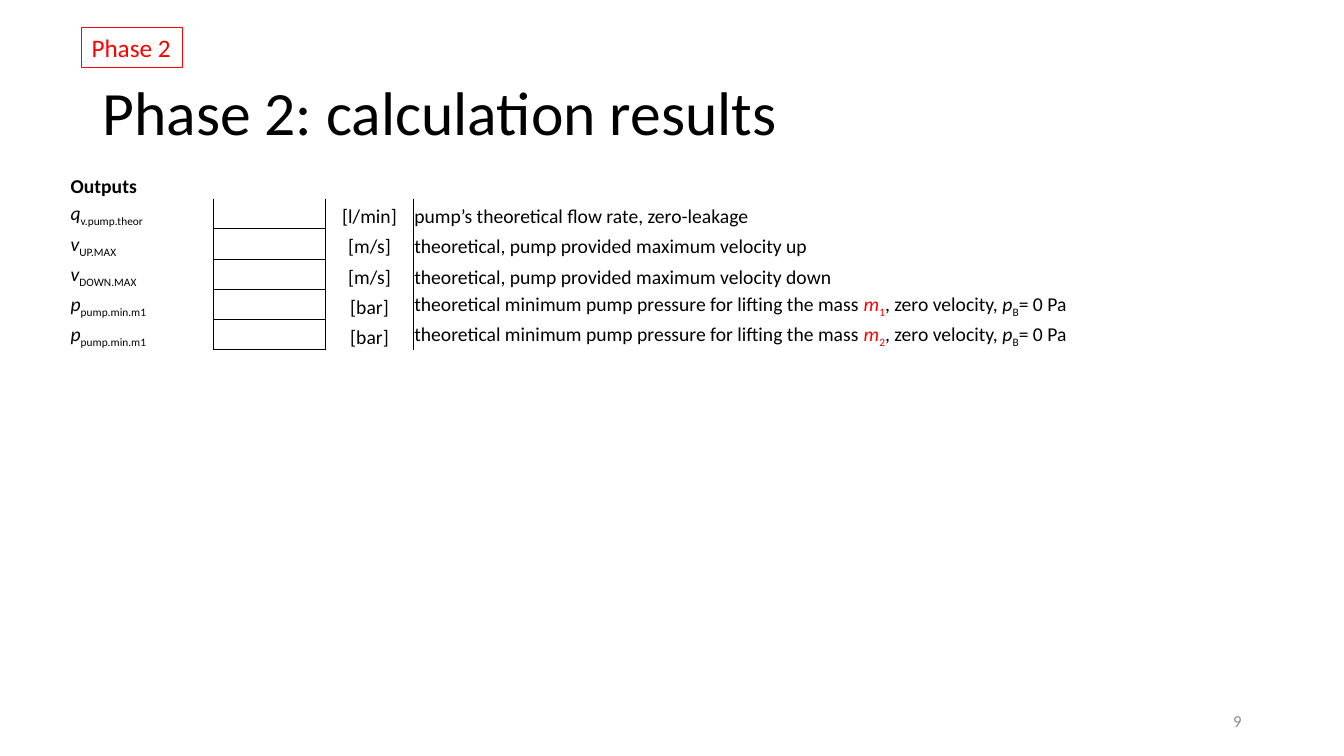
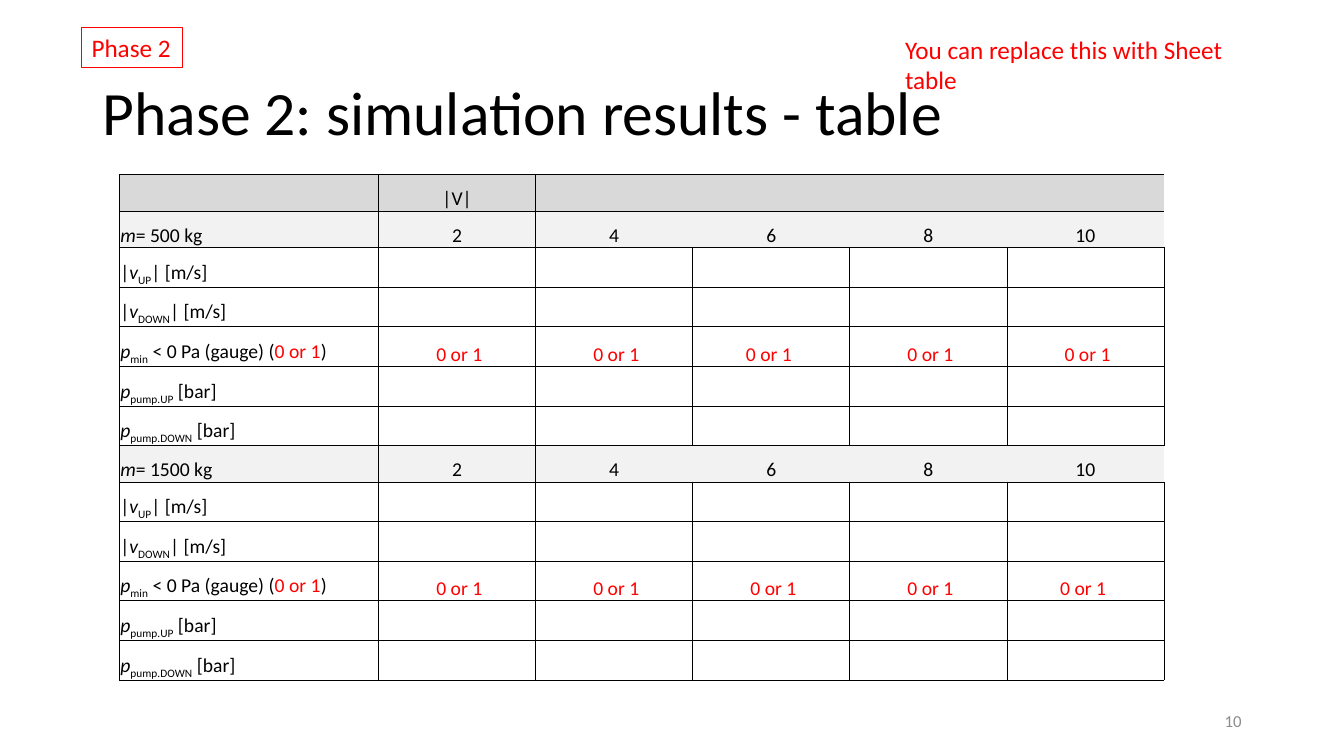
from lxml import etree
from pptx import Presentation
from pptx import util as u
from pptx.dml import color
from pptx.enum import shapes, text
from pptx.oxml import ns

FONT = "Calibri"
BLACK, RED, GREY = "000000", "FF0000", "8C8C8C"
HEADER_FILL, GROUP_FILL = "D9D9D9", "F2F2F2"
PLAIN_TABLE_STYLE = "{2D5ABB26-0587-4C30-8999-92F81FD0307C}"
LEFT, CENTER, RIGHT = text.PP_ALIGN.LEFT, text.PP_ALIGN.CENTER, text.PP_ALIGN.RIGHT
TITLE_ONLY = 5
VELOCITIES = ["2", "4", "6", "8", "10"]


def rgb(value):
    """Turn a hex string into a colour."""
    return color.RGBColor.from_string(value)


def write(paragraph, parts, size, colour=BLACK, align=LEFT):
    """Write text, or (text, style) parts: b bold, i italic, s subscript, r red."""
    paragraph.alignment = align
    if isinstance(parts, str):
        parts = [(parts, "")]
    for words, style in parts:
        run = paragraph.add_run()
        run.text = words
        run.font.name = FONT
        run.font.size = u.Pt(size)
        run.font.bold = "b" in style
        run.font.italic = "i" in style
        run.font.color.rgb = rgb(RED if "r" in style else colour)
        if "s" in style:
            run._r.get_or_add_rPr().set("baseline", "-25000")


def add_label(slide, words, box, size, colour, align=LEFT, wrap=False):
    """Add a text box."""
    label = slide.shapes.add_textbox(*map(u.Pt, box))
    frame = label.text_frame
    frame.word_wrap = wrap
    frame.vertical_anchor = text.MSO_ANCHOR.MIDDLE if wrap else text.MSO_ANCHOR.TOP
    write(frame.paragraphs[0], words, size, colour, align)


def add_phase_tag(slide):
    """Add the outlined phase tag."""
    tag = slide.shapes.add_shape(
        shapes.MSO_SHAPE.RECTANGLE, u.Pt(58.3), u.Pt(19.4), u.Pt(72), u.Pt(29))
    tag.shadow.inherit = False
    tag.fill.background()
    tag.line.color.rgb = rgb(RED)
    tag.line.width = u.Pt(0.75)
    tag.text_frame.word_wrap = False
    tag.text_frame.vertical_anchor = text.MSO_ANCHOR.TOP
    write(tag.text_frame.paragraphs[0], "Phase 2", 18, RED)


def add_slide(presentation, title, number):
    """Add a slide with its title, phase tag and number."""
    slide = presentation.slides.add_slide(presentation.slide_layouts[TITLE_ONLY])
    heading = slide.shapes.title
    heading.left, heading.top, heading.width, heading.height = map(
        u.Pt, (66, 30, 828, 104.4))
    heading.text_frame.vertical_anchor = text.MSO_ANCHOR.MIDDLE
    paragraph = heading.text_frame.paragraphs[0]
    paragraph.line_spacing = 0.9
    write(paragraph, title, 44)
    add_phase_tag(slide)
    add_label(slide, number, (678, 500.5, 216, 28.8), 12, GREY, RIGHT, wrap=True)
    return slide


def add_plain_table(slide, left, top, widths, heights):
    """Add a table without style bands."""
    frame = slide.shapes.add_table(
        len(heights), len(widths), u.Pt(left), u.Pt(top),
        u.Pt(sum(widths)), u.Pt(sum(heights)))
    table = frame.table
    table.first_row = table.horz_banding = False
    table._tbl.tblPr.find(ns.qn("a:tableStyleId")).text = PLAIN_TABLE_STYLE
    for column, width in zip(table.columns, widths):
        column.width = u.Pt(width)
    for row, height in zip(table.rows, heights):
        row.height = u.Pt(height)
    return table


def set_cell(cell, parts="", align=LEFT, borders="", fill=None):
    """Fill a cell; borders names the drawn sides out of L, R, T and B."""
    cell.margin_left = cell.margin_right = cell.margin_top = u.Pt(0.72)
    cell.margin_bottom = 0
    cell.vertical_anchor = text.MSO_ANCHOR.BOTTOM
    paragraph = cell.text_frame.paragraphs[0]
    if parts:
        write(paragraph, parts, 14, align=align)
    else:
        paragraph._p.get_or_add_endParaRPr().set("sz", "1400")
    properties = cell._tc.get_or_add_tcPr()
    for side in borders:
        line = etree.SubElement(
            properties, ns.qn(f"a:ln{side}"), w=str(u.Pt(0.5)))
        solid = etree.SubElement(line, ns.qn("a:solidFill"))
        etree.SubElement(solid, ns.qn("a:srgbClr"), val=BLACK)
    if fill:
        cell.fill.solid()
        cell.fill.fore_color.rgb = rgb(fill)
    else:
        cell.fill.background()


def minimum_pressure(mass_index):
    """Describe the minimum pump pressure for one mass."""
    return [("theoretical minimum pump pressure for lifting the mass ", ""),
            ("m", "ir"), (mass_index, "sr"), (", zero velocity, ", ""),
            ("p", "i"), ("B", "s"), ("= 0 Pa", "")]


def add_outputs_table(slide):
    """Add the table of calculated outputs."""
    outputs = [
        ("q", "v.pump.theor", "[l/min]", "pump’s theoretical flow rate, zero-leakage"),
        ("v", "UP.MAX", "[m/s]", "theoretical, pump provided maximum velocity up"),
        ("v", "DOWN.MAX", "[m/s]", "theoretical, pump provided maximum velocity down"),
        ("p", "pump.min.m1", "[bar]", minimum_pressure("1")),
        ("p", "pump.min.m1", "[bar]", minimum_pressure("2")),
    ]
    table = add_plain_table(
        slide, 49.7, 120.2, [103, 80, 62.6, 582.5, 15.8], [21.6] * 6)
    for column in range(5):
        set_cell(table.cell(0, column), [("Outputs", "b")] if column == 0 else "")
    for row, (symbol, index, unit, meaning) in enumerate(outputs, 1):
        set_cell(table.cell(row, 0), [(symbol, "i"), (index, "s")], borders="R")
        set_cell(table.cell(row, 1), borders="LRB" if row == 1 else "LRTB")
        set_cell(table.cell(row, 2), unit, CENTER, "L")
        set_cell(table.cell(row, 3), meaning)
        set_cell(table.cell(row, 4))
    table.cell(0, 0).merge(table.cell(0, 4))
    table.cell(1, 4).merge(table.cell(5, 4))


def fill_shaded_row(table, row, label, values, fill):
    """Fill a shaded row that has no lines between its values."""
    set_cell(table.cell(row, 0), label, borders="LRTB", fill=fill)
    for column, value in enumerate(values, 1):
        set_cell(table.cell(row, column), value, CENTER,
                 "LTB" if column == 1 else "TB", fill)


def fill_mass_group(table, first_row, mass, trailing_column):
    """Fill the rows for one mass."""
    fill_shaded_row(
        table, first_row, [("m", "i"), (f"= {mass} kg", "")], VELOCITIES, GROUP_FILL)
    labels = [
        [("|", ""), ("v", "i"), ("UP", "s"), ("| [m/s]", "")],
        [("|", ""), ("v", "i"), ("DOWN", "s"), ("| [m/s]", "")],
        [("p", "i"), ("min", "s"), (" < 0 Pa (gauge) (", ""), ("0 or 1", "r"), (")", "")],
        [("p", "i"), ("pump.UP", "s"), (" [bar]", "")],
        [("p", "i"), ("pump.DOWN", "s"), (" [bar]", "")],
    ]
    for offset, label in enumerate(labels, 1):
        row = first_row + offset
        set_cell(table.cell(row, 0), label, borders="LRTB")
        for column in range(1, 6):
            choice = "0 or 1\u00a0" if column == trailing_column else "\u00a00 or 1"
            set_cell(table.cell(row, column), [(choice, "r")] if offset == 3 else "",
                     CENTER, "LRTB")


def add_simulation_table(slide):
    """Add the table of simulation results."""
    group_heights = [26] + [28.3] * 5
    table = add_plain_table(
        slide, 85.2, 124.8, [185.2] + [112.2] * 5, [26] + group_heights * 2)
    fill_shaded_row(table, 0, "", ["|V|", "", "", "", ""], HEADER_FILL)
    fill_mass_group(table, 1, 500, trailing_column=3)
    fill_mass_group(table, 7, 1500, trailing_column=5)


def main():
    """Build and save the presentation."""
    presentation = Presentation()
    presentation.slide_width, presentation.slide_height = u.Pt(960), u.Pt(540)
    calculation = add_slide(presentation, "Phase 2: calculation results", "9")
    add_outputs_table(calculation)
    simulation = add_slide(presentation, "Phase 2: simulation results - table", "10")
    add_simulation_table(simulation)
    add_label(simulation, "You can replace this with Sheet table",
              (639.4, 20.9, 280.8, 29), 18, RED)
    presentation.save("out.pptx")


main()
